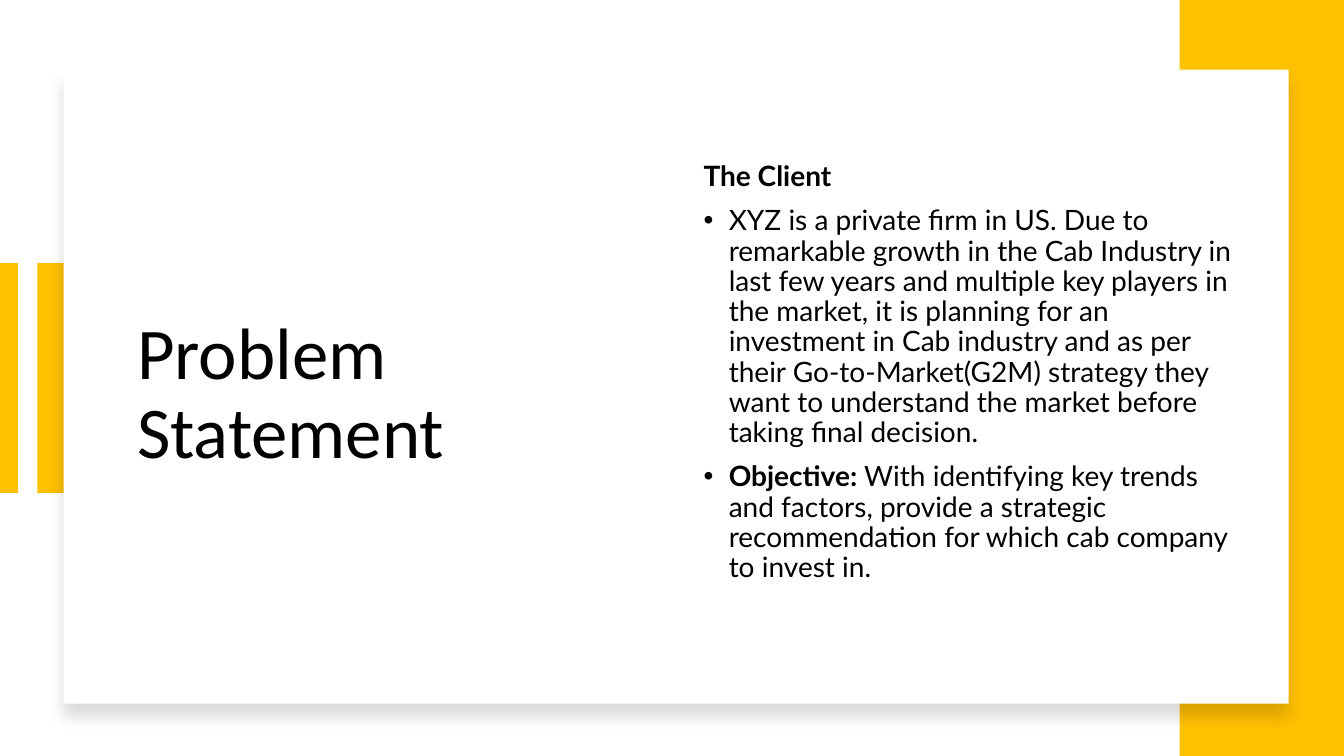
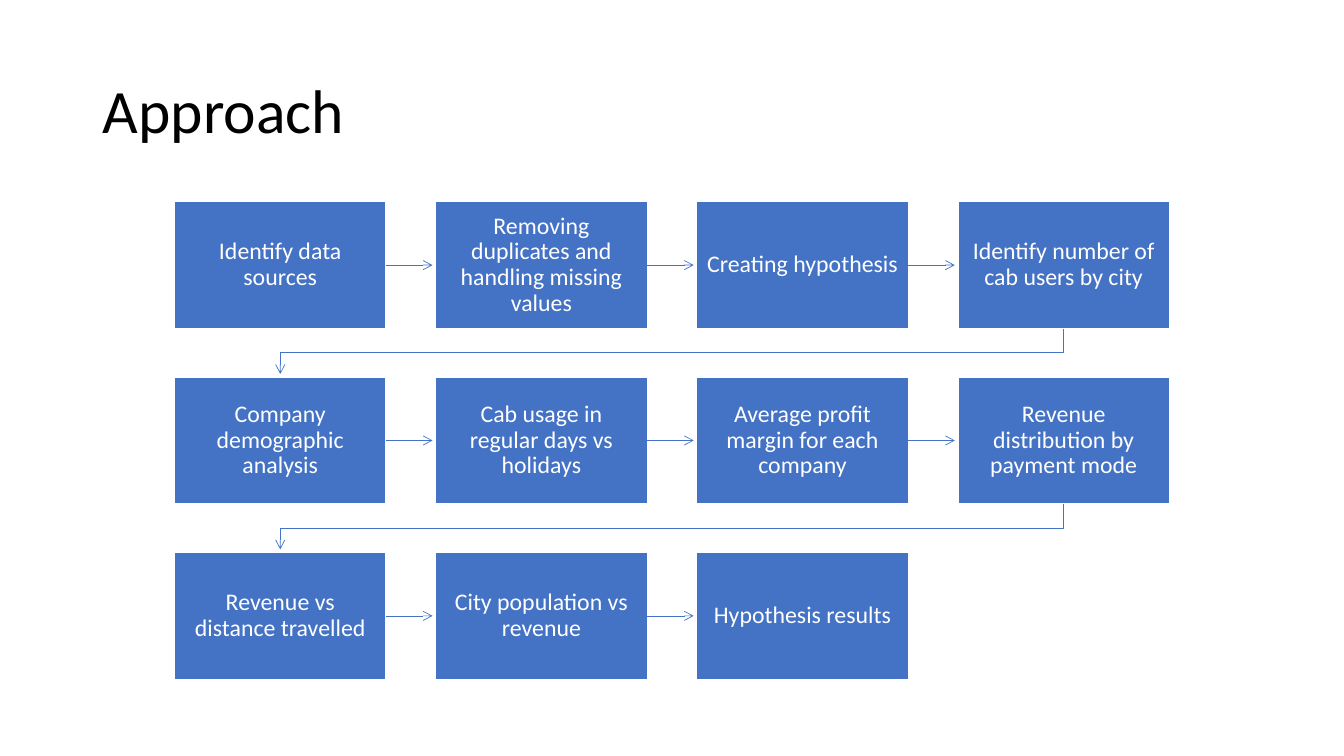
from dataclasses import dataclass
from itertools import pairwise
from typing import NamedTuple

from lxml import etree
from pptx import Presentation
from pptx import slide as sl
from pptx import util as u
from pptx.dml.color import RGBColor
from pptx.enum import shapes, text
from pptx.oxml.ns import qn
from pptx.shapes.autoshape import Shape
from pptx.text.text import TextFrame

Inches = u.Inches


@dataclass(frozen=True)
class Theme:
    black: RGBColor = RGBColor(0x00, 0x00, 0x00)
    white: RGBColor = RGBColor(0xFF, 0xFF, 0xFF)
    gold: RGBColor = RGBColor(0xFF, 0xC0, 0x00)
    blue: RGBColor = RGBColor(0x44, 0x72, 0xC4)
    font: str = "Calibri"
    body_font: str = "Lato"
    large_title: int = 52
    title: int = 44
    body: int = 20
    step: int = 17
    spacing: float = 0.9


class Box(NamedTuple):
    left: float
    top: float
    width: float
    height: float

    @property
    def lengths(self) -> list[u.Length]:
        return [Inches(side) for side in self]


class Words(NamedTuple):
    content: str
    bold: bool = False


class Point(NamedTuple):
    runs: tuple[Words, ...]
    bulleted: bool = True


THEME = Theme()

CLIENT_POINTS = (
    Point((Words("The Client", True),), bulleted=False),
    Point((Words(
        "XYZ is a private firm in US. Due to remarkable growth in the Cab Industry "
        "in last few years and multiple key players in the market, it is planning "
        "for an investment in Cab industry and as per their Go-to-Market(G2M) "
        "strategy they want to understand the market before taking final decision."
    ),)),
    Point((
        Words("Objective: ", True),
        Words(
            "With identifying key trends and factors, provide a strategic "
            "recommendation for which cab company to invest in."
        ),
    )),
)

STEPS = (
    "Identify data sources",
    "Removing duplicates and handling missing values",
    "Creating hypothesis",
    "Identify number of cab users by city",
    "Company demographic analysis",
    "Cab usage in regular days vs holidays",
    "Average profit margin for each company",
    "Revenue distribution by payment mode",
    "Revenue vs distance travelled",
    "City population vs revenue",
    "Hypothesis results",
)
COLUMNS = 4
FIRST_STEP = Box(1.73, 2, 2.1, 1.26)
COLUMN_PITCH, ROW_PITCH = 2.59, 1.74
ARROW_GAP = Inches(0.03)


def add_run(paragraph, words: Words, size: int, color: RGBColor, font: str) -> None:
    run = paragraph.add_run()
    run.text = words.content
    run.font.size = u.Pt(size)
    run.font.bold = words.bold
    run.font.name = font
    run.font.color.rgb = color


def set_up_frame(frame: TextFrame) -> None:
    frame.word_wrap = True
    frame.auto_size = text.MSO_AUTO_SIZE.NONE
    frame.vertical_anchor = text.MSO_ANCHOR.MIDDLE


def write_line(frame: TextFrame, content: str, size: int, color: RGBColor,
               align: text.PP_ALIGN) -> None:
    set_up_frame(frame)
    paragraph = frame.paragraphs[0]
    paragraph.alignment = align
    paragraph.line_spacing = THEME.spacing
    add_run(paragraph, Words(content), size, color, THEME.font)


def add_title(slide: sl.Slide, content: str, box: Box, size: int) -> None:
    title = slide.shapes.title
    title.left, title.top, title.width, title.height = box.lengths
    write_line(title.text_frame, content, size, THEME.black, text.PP_ALIGN.LEFT)
    slide.shapes.element.append(title.element)


def add_rectangle(slide: sl.Slide, box: Box, fill: RGBColor) -> Shape:
    rectangle = slide.shapes.add_shape(shapes.MSO_SHAPE.RECTANGLE, *box.lengths)
    rectangle.shadow.inherit = False
    rectangle.fill.solid()
    rectangle.fill.fore_color.rgb = fill
    rectangle.line.fill.background()
    return rectangle


def add_soft_shadow(shape: Shape) -> None:
    effects = shape.element.spPr.find(qn("a:effectLst"))
    shadow = etree.SubElement(
        effects, qn("a:outerShdw"), blurRad=str(u.Pt(11)), dist=str(u.Pt(10)),
        dir="5400000", algn="t", rotWithShape="0")
    tint = etree.SubElement(shadow, qn("a:srgbClr"), val=str(THEME.black))
    etree.SubElement(tint, qn("a:alpha"), val="15000")


def style_line(line_shape, color: RGBColor, width: float, arrow: bool = False) -> None:
    line_shape.line.color.rgb = color
    line_shape.line.width = u.Pt(width)
    properties = line_shape.element.spPr
    if arrow:
        etree.SubElement(properties.find(qn("a:ln")), qn("a:tailEnd"), type="arrow")
    if properties.find(qn("a:effectLst")) is None:
        etree.SubElement(properties, qn("a:effectLst"))


def add_line(slide: sl.Slide, *ends: int):
    return slide.shapes.add_connector(shapes.MSO_CONNECTOR.STRAIGHT, *ends)


def add_points(slide: sl.Slide, box: Box, points: tuple[Point, ...]) -> None:
    frame = slide.shapes.add_textbox(*box.lengths).text_frame
    set_up_frame(frame)
    for index, point in enumerate(points):
        paragraph = frame.add_paragraph() if index else frame.paragraphs[0]
        paragraph.line_spacing = THEME.spacing
        paragraph.space_before = u.Pt(10)
        if point.bulleted:
            properties = paragraph._p.get_or_add_pPr()
            properties.set("marL", str(Inches(0.25)))
            properties.set("indent", str(Inches(-0.25)))
            etree.SubElement(properties, qn("a:buFont"), typeface="Arial")
            etree.SubElement(properties, qn("a:buChar"), char="•")
        for words in point.runs:
            add_run(paragraph, words, THEME.body, THEME.black, THEME.body_font)


def add_step(slide: sl.Slide, index: int, content: str) -> Shape:
    row, column = divmod(index, COLUMNS)
    box = FIRST_STEP._replace(left=FIRST_STEP.left + column * COLUMN_PITCH,
                              top=FIRST_STEP.top + row * ROW_PITCH)
    step = add_rectangle(slide, box, THEME.blue)
    style_line(step, THEME.white, 1)
    frame = step.text_frame
    frame.margin_left = frame.margin_right = Inches(0.1)
    frame.margin_top = frame.margin_bottom = Inches(0.11)
    write_line(frame, content, THEME.step, THEME.white, text.PP_ALIGN.CENTER)
    return step


def join_steps(slide: sl.Slide, current: Shape, following: Shape) -> None:
    if current.top == following.top:
        middle = current.top + current.height // 2
        arrow = add_line(slide, current.left + current.width, middle,
                         following.left - ARROW_GAP, middle)
        arrow.begin_connect(current, 3)
    else:
        start_x = current.left + current.width // 2
        end_x = following.left + following.width // 2
        bottom = current.top + current.height
        turn = (bottom + following.top) // 2
        outline = slide.shapes.build_freeform(start_x, bottom)
        outline.add_line_segments(
            [(start_x, turn), (end_x, turn), (end_x, following.top - ARROW_GAP)],
            close=False)
        arrow = outline.convert_to_shape()
        arrow.shadow.inherit = False
        arrow.fill.background()
    style_line(arrow, THEME.blue, 0.5, arrow=True)


def build_problem_statement(slide: sl.Slide) -> None:
    add_rectangle(slide, Box(0.37, 2.61, 0.34, 2.28), THEME.gold)
    edge_bar = add_line(slide, *Box(0.08, 2.61, 0.08, 4.89).lengths)
    style_line(edge_bar, THEME.gold, 14)
    add_rectangle(slide, Box(11.7, 0, 1.63, 7.5), THEME.gold)
    card = add_rectangle(slide, Box(0.63, 0.69, 12.15, 6.29), THEME.white)
    add_soft_shadow(card)
    add_title(slide, "Problem Statement", Box(1.26, 1.36, 4.38, 5.12), THEME.large_title)
    add_points(slide, Box(6.88, 1.36, 5.44, 4.68), CLIENT_POINTS)


def build_approach(slide: sl.Slide) -> None:
    add_title(slide, "Approach", Box(0.92, 0.4, 11.5, 1.45), THEME.title)
    steps = [add_step(slide, index, content) for index, content in enumerate(STEPS)]
    for current, following in pairwise(steps):
        join_steps(slide, current, following)


def main() -> None:
    deck = Presentation()
    deck.slide_width, deck.slide_height = Inches(13.33), Inches(7.5)
    title_only = deck.slide_layouts[5]
    for build in (build_problem_statement, build_approach):
        build(deck.slides.add_slide(title_only))
    deck.save("out.pptx")


if __name__ == "__main__":
    main()
